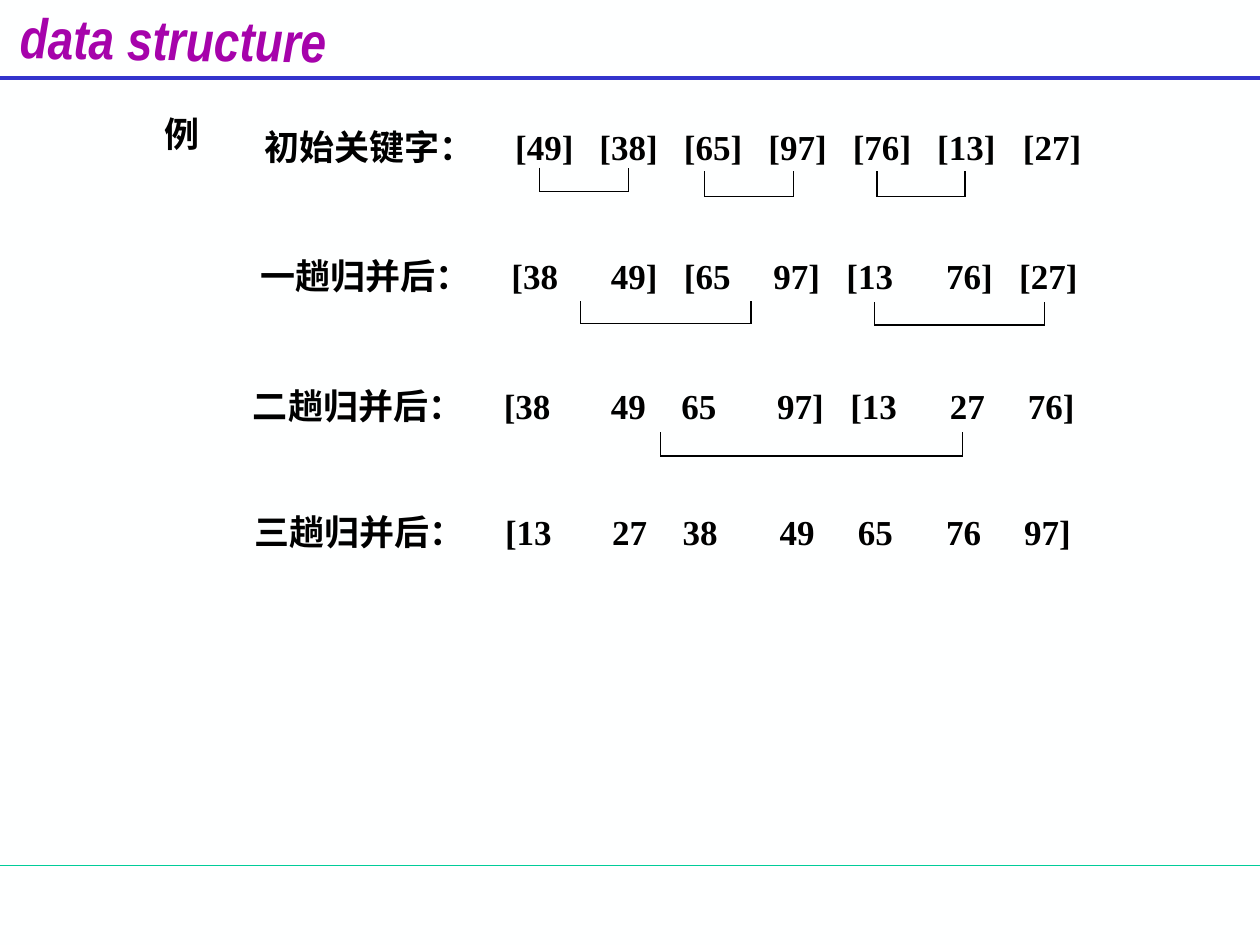
from lxml.etree import SubElement
from pptx import Presentation
from pptx.dml.color import RGBColor
from pptx.enum.shapes import MSO_CONNECTOR
from pptx.oxml.ns import qn
from pptx.util import Inches, Pt

BACKGROUND = RGBColor(0xFE, 0xFF, 0xFF)
PURPLE = RGBColor(0xA6, 0x03, 0xAB)
BLUE = RGBColor(0x33, 0x33, 0xCC)
GREEN = RGBColor(0x00, 0xCC, 0x99)
BLACK = RGBColor(0, 0, 0)
INSET = 0.1
ROW_WIDTH, ROW_HEIGHT = 6.8, 0.44

RULES = [(0.62, BLUE, 2.25), (6.87, GREEN, 0.75)]
PASSES = [
    ("初始关键字：", 2, 0.95,
     ["[49]", "[38]", "[65]", "[97]", "[76]", "[13]", "[27]"],
     [4.09, 4.76, 5.43, 6.1, 6.77, 7.44, 8.12]),
    ("一趟归并后：", 1.97, 1.97,
     ["[38", "49]", "[65", "97]", "[13", "76]", "[27]"],
     [4.06, 4.85, 5.43, 6.14, 6.72, 7.51, 8.09]),
    ("二趟归并后：", 1.91, 3,
     ["[38", "49", "65", "97]", "[13", "27", "76]"],
     [4, 4.85, 5.41, 6.17, 6.75, 7.54, 8.16]),
    ("三趟归并后：", 1.92, 4,
     ["[13", "27", "38", "49", "65", "76", "97]"],
     [4.01, 4.86, 5.42, 6.19, 6.81, 7.51, 8.13]),
]
MERGES = [
    (4.28, 4.99, 1.33, 1.52), (5.59, 6.3, 1.36, 1.56), (6.96, 7.66, 1.36, 1.56),
    (4.61, 5.96, 2.39, 2.57), (6.94, 8.29, 2.4, 2.58),
    (5.24, 7.64, 3.43, 3.62),
]


def add_line(slide, start, end, color=BLACK, weight=0.75):
    line = slide.shapes.add_connector(
        MSO_CONNECTOR.STRAIGHT, *map(Inches, start + end))
    line.line.color.rgb = color
    line.line.width = Pt(weight)
    SubElement(line._element.spPr, qn("a:effectLst"))


def add_text(slide, text, left, top, width, height, size=20,
             name="Times New Roman", color=BLACK, stops=()):
    box = slide.shapes.add_textbox(*map(Inches, (left, top, width, height)))
    box.text_frame.word_wrap = True
    paragraph = box.text_frame.paragraphs[0]
    paragraph.text = text
    if stops:
        tabs = SubElement(paragraph._p.get_or_add_pPr(), qn("a:tabLst"))
        for stop in stops:
            SubElement(tabs, qn("a:tab"), algn="l",
                       pos=str(Inches(stop - left - INSET)))
    font = paragraph.runs[0].font
    font.size, font.name, font.bold = Pt(size), name, True
    font.color.rgb = color
    return box


def main():
    prs = Presentation()
    prs.slide_width, prs.slide_height = Inches(10), Inches(7.5)
    slide = prs.slides.add_slide(prs.slide_layouts[6])
    slide.background.fill.solid()
    slide.background.fill.fore_color.rgb = BACKGROUND

    for y, color, weight in RULES:
        add_line(slide, (0, y), (10, y), color, weight)

    title = add_text(slide, "data structure", 0.06, -0.01, 2.75, 0.54,
                     32, "Arial Narrow", PURPLE)
    title.rotation = 0.8
    title.text_frame.paragraphs[0].runs[0].font.italic = True

    add_text(slide, "例", 1.21, 0.84, 0.5, ROW_HEIGHT)
    for label, left, top, keys, stops in PASSES:
        add_text(slide, "\t".join([label] + keys), left, top,
                 ROW_WIDTH, ROW_HEIGHT, stops=stops)

    for left, right, top, bottom in MERGES:
        corners = [(left, top), (left, bottom), (right, bottom), (right, top)]
        for start, end in zip(corners, corners[1:]):
            add_line(slide, start, end)

    prs.save("out.pptx")


if __name__ == "__main__":
    main()
